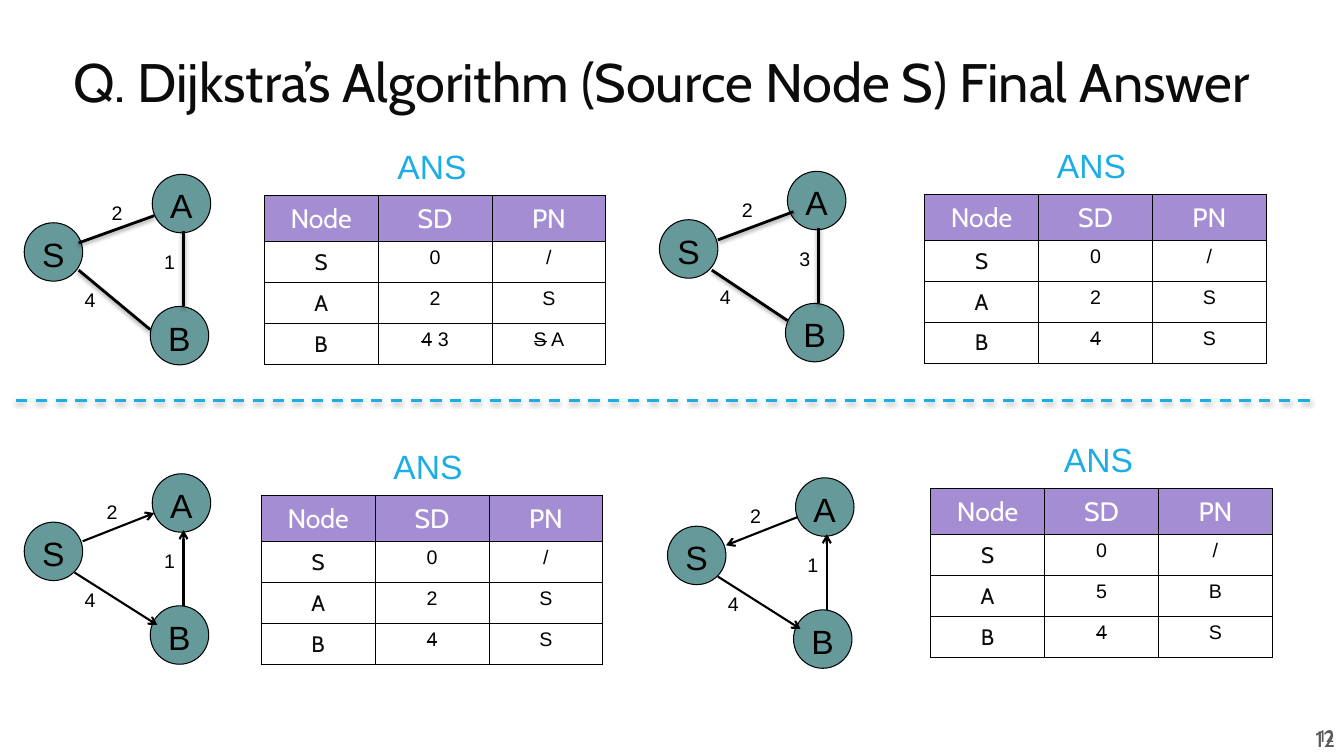
from lxml.etree import SubElement
from pptx import Presentation
from pptx.dml.color import RGBColor
from pptx.enum.dml import MSO_LINE
from pptx.enum.shapes import MSO_CONNECTOR, MSO_SHAPE
from pptx.enum.text import MSO_ANCHOR, PP_ALIGN
from pptx.oxml.ns import qn
from pptx.util import Pt

PX = 9144
COLORS = {
    "ink": "000000", "title": "0C0C0C", "number": "595959", "accent": "1CADE4",
    "node": "669999", "header": "A48DD3", "white": "FFFFFF",
}
NODE_OFFSETS = {"S": (0, 0), "A": (127, -48), "B": (125, 83)}
NODE_SIZE = 58
COLUMN_WIDTH = 113
ROW_HEIGHTS = (45, 40, 40, 40)
HEADINGS = ("Node", "SD", "PN")

WEIGHT_AT = {"SA": (72, -27), "SB": (50, 60), "AB": (129, 22)}
UNDIRECTED = {"SA": (58, 20, 133, -8), "SB": (52, 50, 127, 100), "AB": (158, 83, 158, 8)}
DIRECTED = {"SA": (58, 19, 129, -9), "SB": (50, 50, 132, 102), "AB": (158, 83, 158, 8)}
FORWARD = {"SA": "tailEnd", "SB": "tailEnd", "AB": "tailEnd"}

QUESTIONS = [
    {
        "graph": (654, 218), "weights": {"SA": "2", "SB": "4", "AB": "3"},
        "edges": UNDIRECTED, "arrows": {}, "table": (917, 193), "answer": (957, 138),
        "rows": {"S": ("0", "/"), "A": ("2", "S"), "B": ("~4", "S")},
    },
    {
        "graph": (24, 221), "weights": {"SA": "2", "SB": "4", "AB": "1"},
        "edges": {**UNDIRECTED, "SA": (54, 20, 129, -7), "SB": (54, 47, 125, 106)},
        "weight_at": {**WEIGHT_AT, "SA": (77, -27)},
        "arrows": {}, "table": (262, 194), "answer": (303, 139),
        "rows": {"S": ("0", "/"), "A": ("2", "S"), "B": ("~4| 3", "~S| A")},
    },
    {
        "graph": (24, 518), "weights": {"SA": "2", "SB": "4", "AB": "1"},
        "edges": DIRECTED, "arrows": FORWARD, "table": (259, 492), "answer": (299, 437),
        "rows": {"S": ("0", "/"), "A": ("2", "S"), "B": ("~4", "S")},
    },
    {
        "graph": (662, 522), "weights": {"SA": "2", "SB": "4", "AB": "1"},
        "edges": DIRECTED, "arrows": {**FORWARD, "SA": "headEnd"},
        "table": (923, 485), "answer": (964, 430),
        "rows": {"S": ("0", "/"), "A": ("5", "B"), "B": ("~4", "S")},
    },
]


def px(*lengths):
    return [round(length * PX) for length in lengths]


def rgb(color):
    return RGBColor.from_string(COLORS[color])


def add_run(paragraph, words, size, color, font="Arial", struck=False):
    run = paragraph.add_run()
    run.text = words
    run.font.size = Pt(size)
    run.font.name = font
    run.font.bold = False
    run.font.color.rgb = rgb(color)
    if struck:
        run.font._element.set("strike", "sngStrike")


def add_label(shapes, box, words, size, color="ink", font="Arial",
              align=PP_ALIGN.LEFT, anchor=MSO_ANCHOR.TOP, spacing=1.0):
    frame = shapes.add_textbox(*px(*box)).text_frame
    frame.word_wrap = True
    frame.vertical_anchor = anchor
    paragraph = frame.paragraphs[0]
    paragraph.alignment = align
    paragraph.line_spacing = spacing
    add_run(paragraph, words, size, color, font)


def add_node(slide, left, top, letter):
    node = slide.shapes.add_group_shape()
    circle = node.shapes.add_shape(MSO_SHAPE.OVAL, *px(left, top, NODE_SIZE, NODE_SIZE))
    circle.shadow.inherit = False
    circle.fill.solid()
    circle.fill.fore_color.rgb = rgb("node")
    circle.line.color.rgb = rgb("ink")
    circle.line.width = Pt(0.75)
    add_label(node.shapes, (left + 8, top + 6, 50, 50), letter, 24)


def add_line(slide, ends, width, color="ink", arrow=None, shadow=False, dash=None):
    line = slide.shapes.add_connector(MSO_CONNECTOR.STRAIGHT, *px(*ends))
    line.line.color.rgb = rgb(color)
    line.line.width = Pt(width)
    if dash:
        line.line.dash_style = dash
    if arrow:
        SubElement(line.line._get_or_add_ln(), qn(f"a:{arrow}"), type="arrow")
    effects = SubElement(line._element.spPr, qn("a:effectLst"))
    if shadow:
        cast = SubElement(effects, qn("a:outerShdw"), blurRad=str(Pt(3.1)),
                          dist=str(Pt(1.6)), dir="5400000", rotWithShape="0")
        shade = SubElement(cast, qn("a:srgbClr"), val=COLORS["ink"])
        SubElement(shade, qn("a:alpha"), val="38000")


def add_graph(slide, question):
    left, top = question["graph"]
    arrows = question["arrows"]
    for letter, (dx, dy) in NODE_OFFSETS.items():
        add_node(slide, left + dx, top + dy, letter)
    for edge, (x1, y1, x2, y2) in question["edges"].items():
        add_line(slide, (left + x1, top + y1, left + x2, top + y2),
                 1.5 if arrows else 2, arrow=arrows.get(edge), shadow=not arrows)
    for edge, (dx, dy) in question.get("weight_at", WEIGHT_AT).items():
        add_label(slide.shapes, (left + dx, top + dy, 58, 34), question["weights"][edge], 14)


def style_cell(cell, fill, padded):
    properties = cell._tc.get_or_add_tcPr()
    for side in ("lnL", "lnR", "lnT", "lnB"):
        border = SubElement(properties, qn(f"a:{side}"), w=str(Pt(0.75)))
        SubElement(SubElement(border, qn("a:solidFill")), qn("a:srgbClr"), val=COLORS["ink"])
    cell.fill.solid()
    cell.fill.fore_color.rgb = rgb(fill)
    if padded:
        cell.vertical_anchor = MSO_ANCHOR.MIDDLE
        cell.margin_left, cell.margin_right, cell.margin_top, cell.margin_bottom = px(7, 7, 7, 7)


def add_distances(slide, question):
    records = [HEADINGS] + [(node, *values) for node, values in question["rows"].items()]
    size = (COLUMN_WIDTH * len(HEADINGS), sum(ROW_HEIGHTS))
    distances = slide.shapes.add_table(len(records), len(HEADINGS),
                                       *px(*question["table"], *size)).table
    distances.first_row = distances.horz_banding = False
    for column in distances.columns:
        column.width = px(COLUMN_WIDTH)[0]
    for r, record in enumerate(records):
        distances.rows[r].height = px(ROW_HEIGHTS[r])[0]
        for c, entry in enumerate(record):
            cell = distances.cell(r, c)
            style_cell(cell, "white" if r else "header", r == 0 or c == 0)
            paragraph = cell.text_frame.paragraphs[0]
            paragraph.alignment = PP_ALIGN.CENTER
            if r == 0:
                add_run(paragraph, entry, 19, "white", "Cabin")
            elif c == 0:
                add_run(paragraph, entry, 16, "title", "Cabin")
            else:
                for part in entry.split("|"):
                    add_run(paragraph, part.lstrip("~"), 14, "ink", struck=part.startswith("~"))


def main():
    deck = Presentation()
    deck.slide_width, deck.slide_height = px(1333, 750)
    slide = deck.slides.add_slide(deck.slide_layouts[6])

    add_label(slide.shapes, (63, 29, 1270, 111),
              "Q. Dijkstra’s Algorithm (Source Node S) Final Answer", 38.7, "title", "Cabin",
              anchor=MSO_ANCHOR.MIDDLE, spacing=0.9)
    add_line(slide, (16, 397, 1299, 397), 2, "accent", shadow=True, dash=MSO_LINE.DASH)
    for question in QUESTIONS:
        add_graph(slide, question)
        add_distances(slide, question)
        add_label(slide.shapes, (*question["answer"], 251, 51), "ANS", 24, "accent",
                  align=PP_ALIGN.CENTER, anchor=MSO_ANCHOR.MIDDLE)
    for box, size in (((865, 710, 468, 40), 12), ((1276, 710, 58, 46), 16)):
        add_label(slide.shapes, box, "12", size, "number", "Cabin",
                  align=PP_ALIGN.RIGHT, anchor=MSO_ANCHOR.MIDDLE)
    deck.save("out.pptx")


if __name__ == "__main__":
    main()
